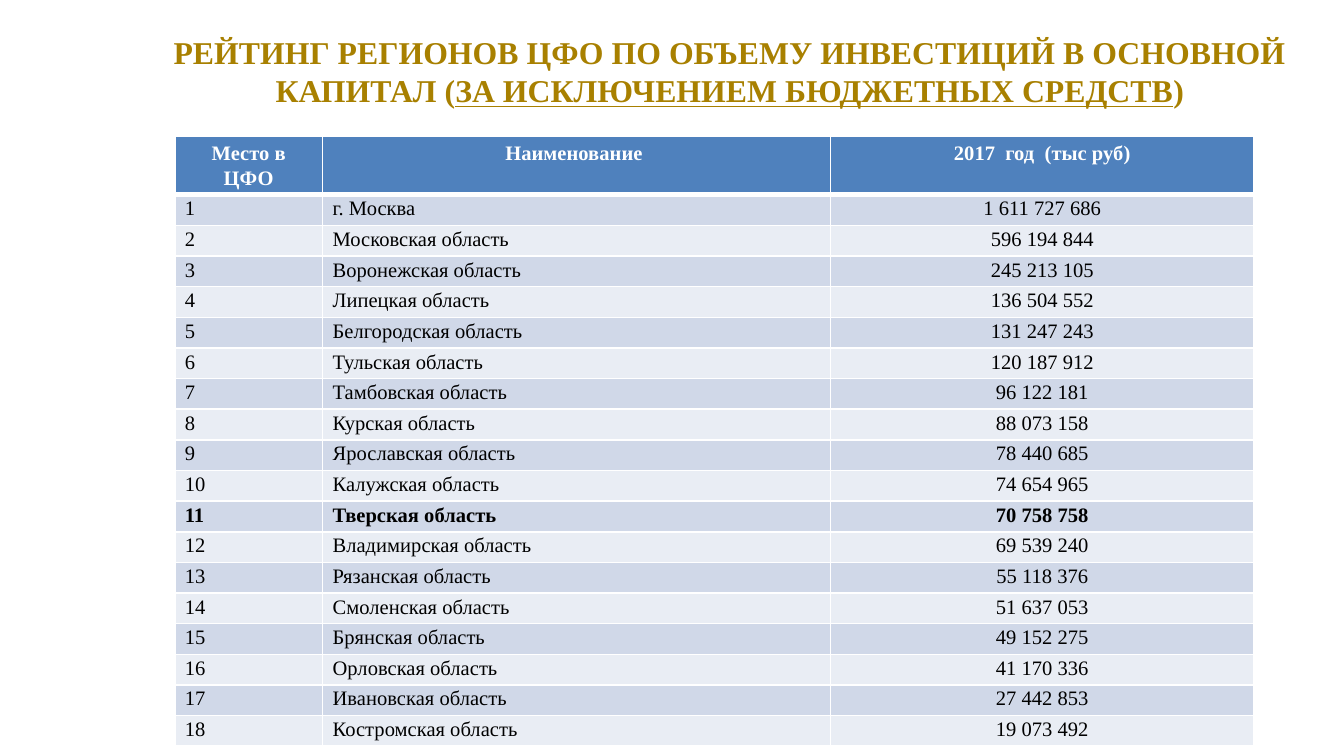
from lxml.etree import SubElement as Sub
from pptx import Presentation
from pptx.dml.color import RGBColor as RGB
from pptx.enum.text import MSO_ANCHOR as Anchor, MSO_AUTO_SIZE as Fit, PP_ALIGN as Align
from pptx.oxml.ns import qn
from pptx.util import Inches, Pt

WIDE = 10
HIGH = WIDE * 9 / 16
FONT = "Times New Roman"
HUES = {"gold": "A88000", "head": "4F81BD", "odd": "D0D8E8",
        "even": "E9EDF4", "white": "FFFFFF", "black": "000000"}
COLS = [1.1, 3.78, 3.15]
HEAD_ROW, ROW = Pt(31.2), Pt(16.4)
OWN = 11  # rank of the region set in bold
HEAD = ["Место в ЦФО", "Наименование ", "2017  год  (тыс руб)"]
REGIONS = [
    ("г. Москва", "1 611 727 686"),
    ("Московская область", "596 194 844"),
    ("Воронежская область", "245 213 105"),
    ("Липецкая область", "136 504 552"),
    ("Белгородская область", "131 247 243"),
    ("Тульская область", "120 187 912"),
    ("Тамбовская область", "96 122 181"),
    ("Курская область", "88 073 158"),
    ("Ярославская область", "78 440 685"),
    ("Калужская область", "74 654 965"),
    ("Тверская область", "70 758 758"),
    ("Владимирская область", "69 539 240"),
    ("Рязанская область", "55 118 376"),
    ("Смоленская область", "51 637 053"),
    ("Брянская область", "49 152 275"),
    ("Орловская область", "41 170 336"),
    ("Ивановская область", "27 442 853"),
    ("Костромская область", "19 073 492"),
]


def color(name):
    return RGB.from_string(HUES[name])


def pad(box):
    """Set the inner margins of a cell or text frame."""
    box.margin_left = box.margin_right = Pt(5.4)
    box.margin_top = box.margin_bottom = Pt(2.7)


def add_run(para, text, size, hue, bold=False, line=False):
    run = para.add_run()
    run.text = text
    font = run.font
    font.name, font.size = FONT, Pt(size)
    font.bold, font.underline = bold, line
    font.color.rgb = color(hue)


def add_title(slide):
    title = slide.shapes.title
    title.left, title.top = Inches(0.114 * WIDE), Inches(0.037 * HIGH)
    title.width, title.height = Inches(0.858 * WIDE), Inches(0.126 * HIGH)
    frame = title.text_frame
    frame.word_wrap, frame.auto_size = True, Fit.NONE
    frame.vertical_anchor = Anchor.TOP
    pad(frame)
    para = frame.paragraphs[0]
    para.alignment = Align.CENTER
    add_run(para, "РЕЙТИНГ РЕГИОНОВ ЦФО ПО ОБЪЕМУ ИНВЕСТИЦИЙ В ОСНОВНОЙ КАПИТАЛ (",
            17, "gold", True)
    add_run(para, "ЗА ИСКЛЮЧЕНИЕМ БЮДЖЕТНЫХ СРЕДСТВ", 17, "gold", True, True)
    add_run(para, ")", 17, "gold", True)


def add_edges(cell, top, base):
    """Draw white cell borders; top and base are widths in points."""
    props = cell._tc.get_or_add_tcPr()
    for side, width in zip("LRTB", (1, 1, top, base)):
        edge = Sub(props, qn(f"a:ln{side}"), w=str(Pt(width)))
        fill = Sub(edge, qn("a:solidFill"))
        Sub(fill, qn("a:srgbClr"), val=HUES["white"])


def fill_cell(cell, text, rank, align):
    """Rank 0 is the header row."""
    head = rank == 0
    pad(cell)
    add_edges(cell, 3 if rank == 1 else 1, 3 if head else 1)
    cell.fill.solid()
    cell.fill.fore_color.rgb = color("head" if head else "odd" if rank % 2 else "even")
    para = cell.text_frame.paragraphs[0]
    para.alignment = align
    para.line_spacing = Pt(13 if head else 11)
    add_run(para, text, 11, "white" if head else "black", rank in (0, OWN))


def add_ranks(slide):
    rows = [HEAD] + [(str(i), *pair) for i, pair in enumerate(REGIONS, 1)]
    table = slide.shapes.add_table(
        len(rows), len(COLS), Inches(0.13 * WIDE), Inches(0.18 * HIGH),
        Inches(sum(COLS)), HEAD_ROW + ROW * len(REGIONS)).table
    for col, width in zip(table.columns, COLS):
        col.width = Inches(width)
    for rank, texts in enumerate(rows):
        table.rows[rank].height = ROW if rank else HEAD_ROW
        for col, text in enumerate(texts):
            mid = rank == 0 or col == 2
            fill_cell(table.cell(rank, col), text, rank,
                      Align.CENTER if mid else Align.LEFT)


def main():
    deck = Presentation()
    deck.slide_width, deck.slide_height = Inches(WIDE), Inches(HIGH)
    slide = deck.slides.add_slide(deck.slide_layouts[5])
    add_title(slide)
    add_ranks(slide)
    deck.save("out.pptx")


if __name__ == "__main__":
    main()
